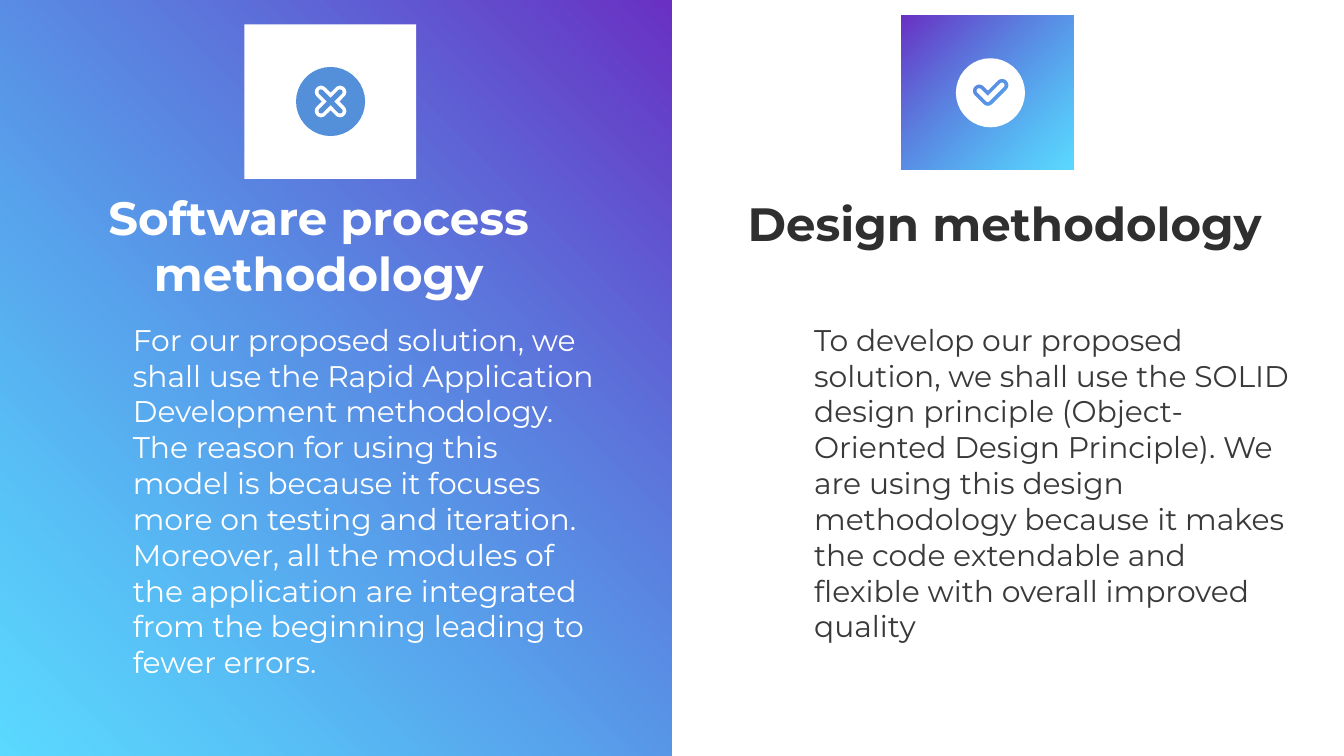
from math import cos, radians, sin, sqrt

from pptx import Presentation
from pptx.dml.color import RGBColor
from pptx.enum.shapes import MSO_SHAPE as Shape
from pptx.enum.text import MSO_ANCHOR as Anchor, PP_ALIGN as Align
from pptx.oxml import parse_xml
from pptx.oxml.ns import nsdecls
from pptx.util import Pt

WHITE = RGBColor(0xFF, 0xFF, 0xFF)
BLUE = RGBColor(0x53, 0x90, 0xD9)
PURPLE = RGBColor(0x69, 0x30, 0xC3)
CYAN = RGBColor(0x00, 0xC4, 0xFF)
DARK = RGBColor(0x2F, 0x2F, 0x2F)
GREY = RGBColor(0x39, 0x39, 0x39)

FONT = "Montserrat"
DISC = 18.5    # radius of an icon's disc
HOLE = 3.4     # half width of the cut-out sign
CORE = 1.35    # half width of the sign inside it

PROCESS = (
    "For our proposed solution, we shall use the Rapid Application "
    "Development methodology. The reason for using this model is because it "
    "focuses more on testing and iteration. Moreover, all the modules of the "
    "application are integrated from the beginning leading to fewer errors."
)
DESIGN = (
    "To develop our proposed solution, we shall use the SOLID design principle "
    "(Object-Oriented Design Principle). We are using this design methodology "
    "because it makes the code extendable and flexible with overall improved "
    "quality"
)


def add_rect(slide, box, color=None, focus=None):
    """Add a plain rectangle, or one shaded from the corner in focus."""
    rect = slide.shapes.add_shape(Shape.RECTANGLE, *map(Pt, box))
    rect.shadow.inherit = False
    rect.line.fill.background()
    if color is not None:
        rect.fill.solid()
        rect.fill.fore_color.rgb = color
        return
    grad = parse_xml(
        f'<a:gradFill {nsdecls("a")}><a:gsLst>'
        f'<a:gs pos="0"><a:srgbClr val="{PURPLE}"/></a:gs>'
        f'<a:gs pos="100000"><a:srgbClr val="{CYAN}">'
        f'<a:alpha val="64000"/></a:srgbClr></a:gs></a:gsLst>'
        f'<a:path path="circle"><a:fillToRect {focus}/></a:path></a:gradFill>'
    )
    rect._element.spPr.insert(2, grad)


def add_text(slide, box, text, size, color, left=7.2):
    """Add a wrapped text box and return its frame."""
    frame = slide.shapes.add_textbox(*map(Pt, box)).text_frame
    frame.word_wrap = True
    frame.margin_left = Pt(left)
    frame.margin_right = frame.margin_top = frame.margin_bottom = Pt(7.2)
    para = frame.paragraphs[0]
    para.text = text
    para.font.name = FONT
    para.font.size = Pt(size)
    para.font.color.rgb = color
    return frame


def add_title(slide, box, text, color):
    frame = add_text(slide, box, text, 25, color)
    frame.vertical_anchor = Anchor.MIDDLE
    frame.paragraphs[0].alignment = Align.CENTER
    frame.paragraphs[0].font.bold = True


def polar(mid, size, angle):
    turn = radians(angle)
    return mid[0] + size * cos(turn), mid[1] + size * sin(turn)


def arc(mid, size, start, end):
    return [polar(mid, size, angle) for angle in range(start, end + 1, 10)]


def sign(joint, arms, half):
    """Outline round-ended arms, given as (angle, length), about a joint."""
    points = []
    for (angle, length), (after, _) in zip(arms, arms[1:] + arms[:1]):
        points += arc(polar(joint, length, angle), half, angle - 90, angle + 90)
        gap = (after - angle) % 360
        if gap == 90:
            points.append(polar(joint, half * sqrt(2), angle + 45))
        else:
            points += arc(joint, half, angle + 90, angle + gap - 90)
    return points


def add_form(group, color, *rings):
    """Add one freeform; rings after the first cut holes."""
    rings = [[(Pt(x), Pt(y)) for x, y in ring] for ring in rings]
    form = group.shapes.build_freeform(*rings[0][0])
    form.add_line_segments(rings[0][1:])
    for ring in rings[1:]:
        form.move_to(*ring[0])
        form.add_line_segments(ring[1:])
    shape = form.convert_to_shape()
    shape.shadow.inherit = False
    shape.fill.solid()
    shape.fill.fore_color.rgb = color
    shape.line.fill.background()


def add_icon(slide, mid, joint, arms, color):
    group = slide.shapes.add_group_shape()
    add_form(group, color, arc(mid, DISC, 0, 360), sign(joint, arms, HOLE))
    add_form(group, color, sign(joint, arms, CORE))


def main():
    deck = Presentation()
    deck.slide_width, deck.slide_height = Pt(720), Pt(405)
    slide = deck.slides.add_slide(deck.slide_layouts[6])

    # Left half, shaded from its top right corner
    add_rect(slide, (0, 0, 360, 405), focus='l="100000" b="100000"')

    # Body texts
    add_text(slide, (357, 165, 344, 76), DESIGN, 16, GREY, left=79.2)
    add_text(slide, (-8, 165, 333.5, 187), PROCESS, 16, WHITE, left=79.2)

    # Titles
    add_title(slide, (36.7, 116.6, 268, 29.5), "Software process methodology", WHITE)
    add_title(slide, (389.5, 104.4, 297.5, 29.5), "Design methodology", DARK)

    # Icon tiles
    add_rect(slide, (131, 13, 92, 82.8), WHITE)
    add_rect(slide, (483.2, 8.2, 92, 82.8), focus='r="100000" b="100000"')

    # Check and cross
    check = [(225, 6.5), (315, 10.8)]
    cross = [(angle, 7.2) for angle in range(45, 360, 90)]
    add_icon(slide, (530.6, 49.7), (529.2, 53.3), check, WHITE)
    add_icon(slide, (177.1, 54.4), (177.1, 54.4), cross, BLUE)

    deck.save("out.pptx")


if __name__ == "__main__":
    main()
